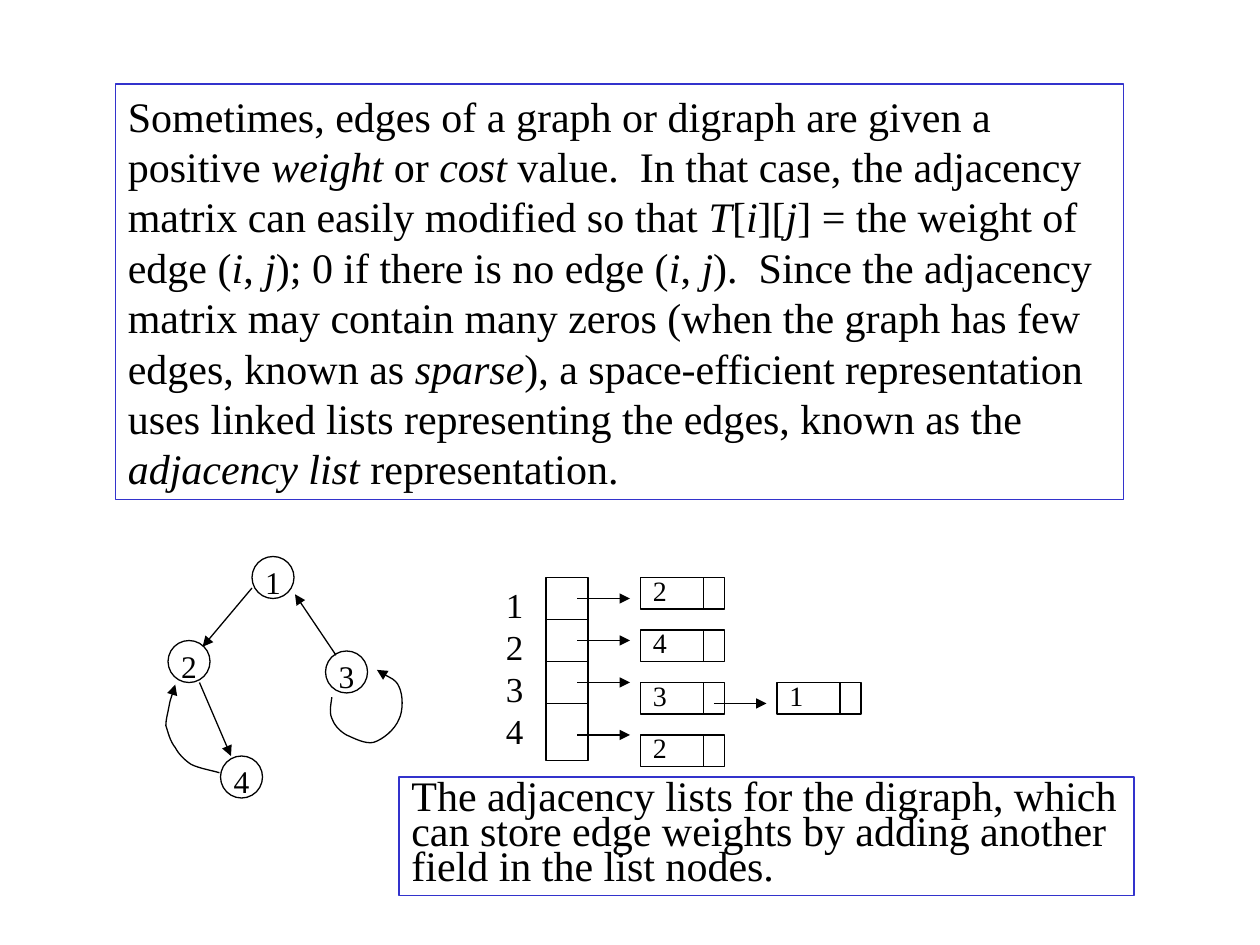
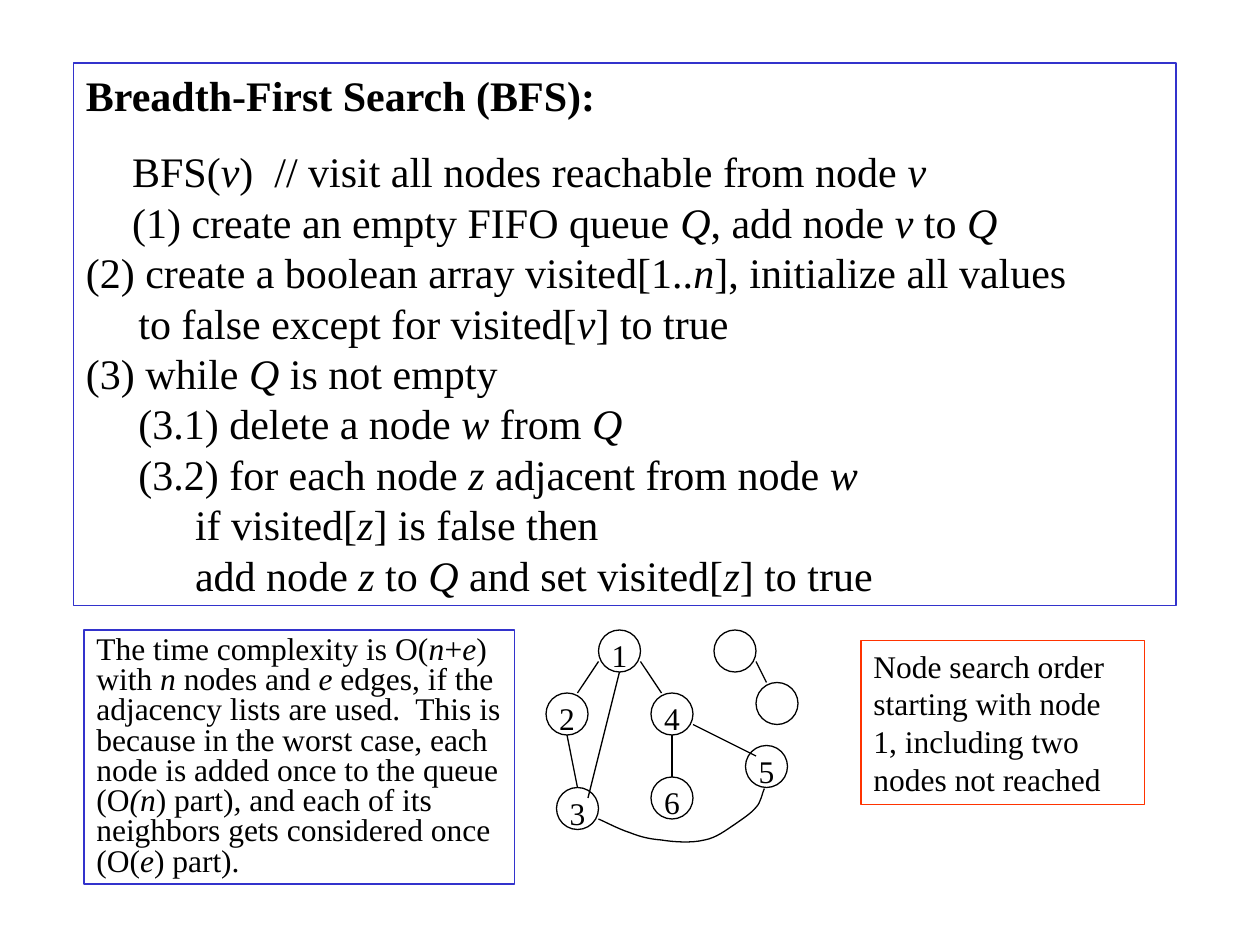
from dataclasses import dataclass

from lxml import etree
from pptx import Presentation
from pptx.dml.color import RGBColor
from pptx.enum.shapes import MSO_CONNECTOR, MSO_SHAPE
from pptx.enum.text import MSO_ANCHOR, MSO_AUTO_SIZE, PP_ALIGN
from pptx.oxml.ns import qn
from pptx.util import Emu, Pt

RECTANGLE, OVAL = MSO_SHAPE.RECTANGLE, MSO_SHAPE.OVAL
STRAIGHT = MSO_CONNECTOR.STRAIGHT
TOP, MIDDLE = MSO_ANCHOR.TOP, MSO_ANCHOR.MIDDLE
LEFT, CENTER = PP_ALIGN.LEFT, PP_ALIGN.CENTER

SCALE = 7620  # EMU in one px, 120 px to the inch
COLORS = {"ink": "000000", "frame": "3333CC", "order": "FF3300"}
FONT = "Times New Roman"
LINE_WIDTH = Pt(0.75)
FRAME_INSETS = (12, 6, 12, 6)
NODE_SIZE = 40
CELL_WIDTH, CELL_HEIGHT, CELL_DIVIDER = 80, 30, 60


@dataclass
class Line:
    """One paragraph; *stars* enclose italic words."""
    text: str
    indent: int = 0
    before: int = 0
    bold: bool = False


@dataclass
class Frame:
    left: int
    top: int
    width: int
    height: int
    size: int
    lines: list[Line]
    color: str = "frame"
    spacing: float = 1.0


@dataclass
class Node:
    left: int
    top: int
    label: str = ""


@dataclass
class Edge:
    x1: int
    y1: int
    x2: int
    y2: int
    arrow: bool = False


@dataclass
class Curve:
    """Bezier curve: a start point, then three points for each segment."""
    points: list[tuple[int, int]]
    arrow: bool = False


def px(value: int) -> Emu:
    return Emu(value * SCALE)


def rgb(name: str) -> RGBColor:
    return RGBColor.from_string(COLORS[name])


def style_line(shape, color: str = "ink", arrow: bool = False) -> None:
    shape.line.color.rgb = rgb(color)
    shape.line.width = LINE_WIDTH
    if arrow:
        line = shape._element.spPr.find(qn("a:ln"))
        etree.SubElement(line, qn("a:tailEnd"), type="triangle")


def add_outline(slide, kind, left: int, top: int, width: int, height: int,
                color: str = "ink"):
    shape = slide.shapes.add_shape(kind, px(left), px(top), px(width), px(height))
    shape.shadow.inherit = False
    shape.fill.background()
    style_line(shape, color)
    return shape


def write(shape, lines: list[Line], size: int, insets=FRAME_INSETS, anchor=TOP,
          align=LEFT, spacing: float = 1.0) -> None:
    frame = shape.text_frame
    frame.word_wrap = True
    frame.auto_size = MSO_AUTO_SIZE.NONE
    frame.vertical_anchor = anchor
    (frame.margin_left, frame.margin_top,
     frame.margin_right, frame.margin_bottom) = map(px, insets)
    for index, line in enumerate(lines):
        paragraph = frame.add_paragraph() if index else frame.paragraphs[0]
        paragraph.alignment = align
        paragraph.space_before = Pt(line.before)
        paragraph.line_spacing = spacing
        if line.indent:
            properties = paragraph._p.get_or_add_pPr()
            properties.set("marL", str(px(line.indent)))
            properties.set("indent", "0")
        font = paragraph.font
        font.name, font.size, font.bold = FONT, Pt(size), line.bold
        font.color.rgb = rgb("ink")
        for position, part in enumerate(line.text.split("*")):
            if part:
                run = paragraph.add_run()
                run.text = part
                if position % 2:
                    run.font.italic = True


def add_frame(slide, frame: Frame) -> None:
    shape = add_outline(slide, RECTANGLE, frame.left, frame.top, frame.width,
                        frame.height, frame.color)
    write(shape, frame.lines, frame.size, spacing=frame.spacing)


def add_node(slide, node: Node) -> None:
    shape = add_outline(slide, OVAL, node.left, node.top, NODE_SIZE, NODE_SIZE)
    if node.label:
        write(shape, [Line(node.label)], 18, (0, 0, 0, 0), align=CENTER)


def add_edge(slide, edge: Edge) -> None:
    connector = slide.shapes.add_connector(
        STRAIGHT, px(edge.x1), px(edge.y1), px(edge.x2), px(edge.y2))
    style_line(connector, arrow=edge.arrow)
    etree.SubElement(connector._element.spPr, qn("a:effectLst"))


def add_curve(slide, curve: Curve) -> None:
    builder = slide.shapes.build_freeform(*curve.points[0], scale=SCALE)
    builder.add_line_segments(curve.points[1:], close=False)
    shape = builder.convert_to_shape()
    shape.shadow.inherit = False
    shape.fill.background()
    style_line(shape, arrow=curve.arrow)
    # Join each three straight steps into one Bezier segment
    outline = shape._element.spPr.find(".//" + qn("a:path"))
    steps = outline.findall(qn("a:lnTo"))
    for start in range(0, len(steps), 3):
        bezier = etree.SubElement(outline, qn("a:cubicBezTo"))
        for step in steps[start:start + 3]:
            bezier.append(step[0])
            outline.remove(step)


def add_graph(slide, nodes: list[Node], edges: list[Edge],
              curves: list[Curve]) -> None:
    for node in nodes:
        add_node(slide, node)
    for edge in edges:
        add_edge(slide, edge)
    for curve in curves:
        add_curve(slide, curve)


def add_list_cell(slide, cell: Node) -> None:
    shape = add_outline(slide, RECTANGLE, cell.left, cell.top, CELL_WIDTH, CELL_HEIGHT)
    write(shape, [Line(cell.label)], 16, (12, 0, 12, 6), MIDDLE)
    divider = cell.left + CELL_DIVIDER
    add_edge(slide, Edge(divider, cell.top, divider, cell.top + CELL_HEIGHT))


def add_adjacency_lists(slide) -> None:
    # Array of list heads with its row numbers
    add_outline(slide, RECTANGLE, 520, 550, 40, 174)
    for y in (590, 630, 670):
        add_edge(slide, Edge(520, y, 560, y))
    numbers = slide.shapes.add_textbox(px(470), px(550), px(40), px(173))
    write(numbers, [Line(digit) for digit in "1234"], 20)
    # List cells and the arrows that lead to them
    for row, label in enumerate("2432"):
        add_list_cell(slide, Node(610, 550 + 50 * row, label))
    add_list_cell(slide, Node(740, 650, "1"))
    for x, y in ((550, 570), (550, 610), (550, 650), (550, 700), (680, 670)):
        add_edge(slide, Edge(x, y, x + 50, y, arrow=True))


# Adjacency list slide
WEIGHTS = Frame(110, 80, 960, 396, 24, [Line(
    "Sometimes, edges of a graph or digraph are given a positive *weight* or *cost* "
    "value.  In that case, the adjacency matrix can easily modified so that "
    "*T*[*i*][*j*] = the weight of edge (*i*, *j*); 0 if there is no edge "
    "(*i*, *j*).  Since the adjacency matrix may contain many zeros (when the graph "
    "has few edges, known as *sparse*), a space-efficient representation uses linked "
    "lists representing the edges, known as the *adjacency list* representation.")])
CAPTION = Frame(380, 740, 700, 113, 24, [Line(
    "The adjacency lists for the digraph, which can store edge weights by adding "
    "another field in the list nodes.")], spacing=0.7)
DIGRAPH_NODES = [Node(240, 530, "1"), Node(160, 610, "2"),
                 Node(310, 620, "3"), Node(210, 720, "4")]
DIGRAPH_EDGES = [Edge(240, 560, 193, 616, True), Edge(190, 650, 220, 720, True),
                 Edge(320, 624, 281, 566, True)]
DIGRAPH_CURVES = [
    Curve([(316, 664), (316, 667), (313, 678), (316, 684), (318, 690), (323, 696),
           (330, 700), (337, 703), (348, 709), (356, 707), (365, 704), (376, 695),
           (380, 685), (384, 677), (384, 662), (380, 654), (377, 647), (364, 642),
           (359, 638)], True),
    Curve([(209, 736), (203, 734), (190, 732), (182, 728), (176, 724), (170, 718),
           (167, 712), (162, 706), (160, 697), (158, 691), (158, 685), (160, 679),
           (161, 673), (162, 667), (165, 659), (167, 652)], True)]

# Breadth-first search slide
ALGORITHM = Frame(70, 60, 1050, 517, 24, [
    Line("Breadth-First Search (BFS):", bold=True),
    Line("BFS(*v*)  // visit all nodes reachable from node *v*", 44, 15),
    Line("(1) create an empty FIFO queue *Q*, add node *v* to *Q*", 44),
    Line("(2) create a boolean array visited[1..*n*], initialize all values"),
    Line("to false except for visited[*v*] to true", 50),
    Line("(3) while *Q* is not empty"),
    Line("(3.1) delete a node *w* from *Q*", 50),
    Line("(3.2) for each node *z* adjacent from node *w*", 50),
    Line("if visited[*z*] is false then", 104),
    Line("add node *z* to *Q* and set visited[*z*] to true", 104)])
COMPLEXITY = Frame(80, 600, 410, 242, 18, [Line(
    "The time complexity is O(*n*+*e*) with *n* nodes and *e* edges, if the adjacency "
    "lists are used.  This is because in the worst case, each node is added once to "
    "the queue (O*(n*) part)*,* and each of its neighbors gets considered once "
    "(O(*e*) part).")], spacing=0.8)
SEARCH_ORDER = Frame(820, 610, 270, 156, 18, [Line(
    "Node search order starting with node 1, including two nodes not reached")], "order")
SEARCH_NODES = [Node(570, 600, "1"), Node(520, 660, "2"), Node(530, 750, "3"),
                Node(620, 660, "4"), Node(710, 710, "5"), Node(620, 740, "6"),
                Node(680, 600), Node(720, 650)]
SEARCH_EDGES = [Edge(570, 630, 550, 660), Edge(590, 640, 560, 760),
                Edge(610, 630, 630, 660), Edge(540, 700, 550, 750),
                Edge(640, 700, 640, 740), Edge(660, 690, 720, 720),
                Edge(720, 630, 730, 650)]
SEARCH_CURVES = [
    Curve([(570, 780), (575, 782), (590, 790), (600, 793), (610, 797), (618, 799),
           (630, 800), (642, 802), (659, 803), (671, 800), (682, 798), (691, 791),
           (700, 785), (707, 780), (715, 775), (720, 769), (725, 764), (726, 755),
           (728, 751)])]


def main() -> None:
    presentation = Presentation()
    presentation.slide_width, presentation.slide_height = px(1200), px(900)
    blank = presentation.slide_layouts[6]

    slide = presentation.slides.add_slide(blank)
    add_frame(slide, WEIGHTS)
    add_graph(slide, DIGRAPH_NODES, DIGRAPH_EDGES, DIGRAPH_CURVES)
    add_adjacency_lists(slide)
    add_frame(slide, CAPTION)

    slide = presentation.slides.add_slide(blank)
    for frame in (ALGORITHM, COMPLEXITY, SEARCH_ORDER):
        add_frame(slide, frame)
    add_graph(slide, SEARCH_NODES, SEARCH_EDGES, SEARCH_CURVES)

    presentation.save("out.pptx")


if __name__ == "__main__":
    main()
